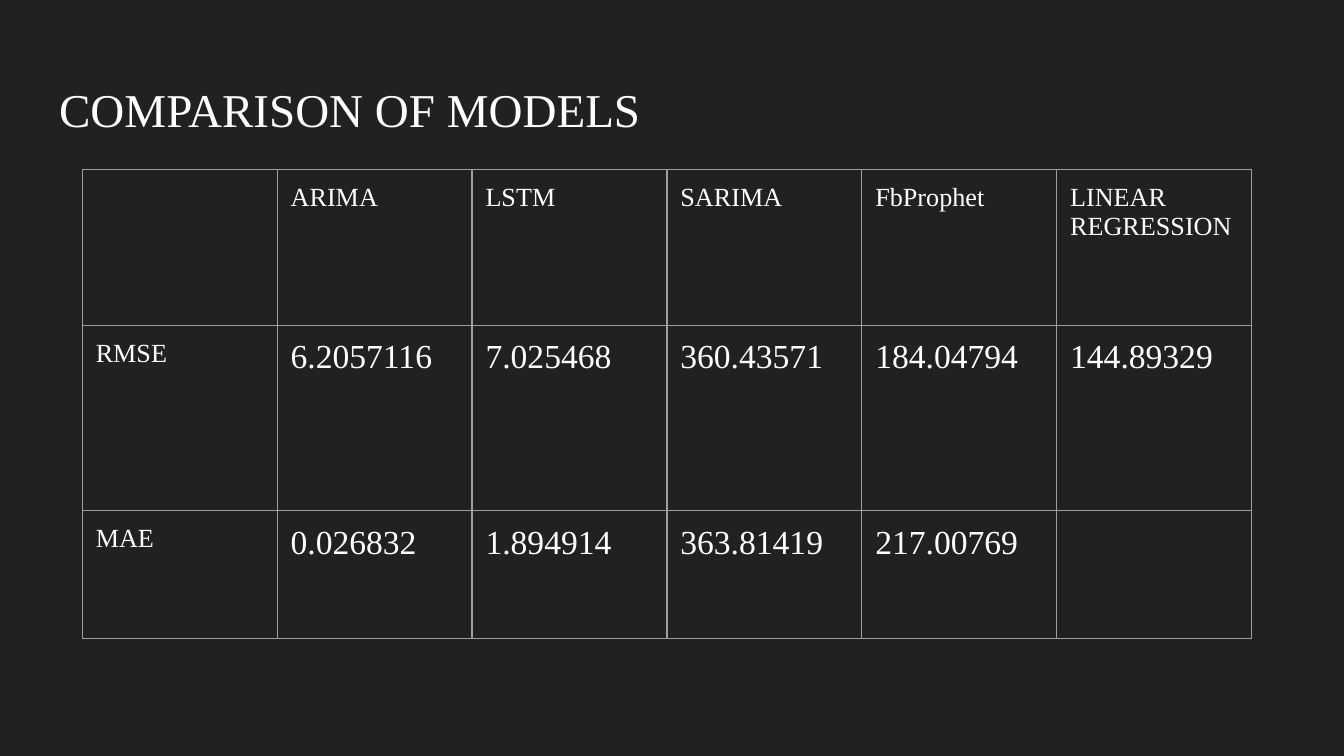
from lxml.etree import SubElement
from pptx import Presentation
from pptx.dml.color import RGBColor
from pptx.enum.text import MSO_ANCHOR, PP_ALIGN
from pptx.oxml.ns import qn
from pptx.util import Pt

COLORS = {"background": "212121", "text": "FFFFFF", "border": "9E9E9E"}
INSET = 7.2

RESULTS = [
    ["", "ARIMA", "LSTM", "SARIMA", "FbProphet", "LINEAR REGRESSION"],
    ["RMSE", "6.2057116", "7.025468", "360.43571", "184.04794", "144.89329"],
    ["MAE", "0.026832", "1.894914", "363.81419", "217.00769", ""],
]
COLUMN_WIDTH = 104.4
ROW_HEIGHTS = [83.5, 99.3, 68.4]


class SlideBuilder:
    font_name = "Times New Roman"
    label_size = 14
    value_size = 18

    def __init__(self, presentation):
        self.slide = presentation.slides.add_slide(presentation.slide_layouts[5])
        fill = self.slide.background.fill
        fill.solid()
        fill.fore_color.rgb = RGBColor.from_string(COLORS["background"])

    def format_text(self, text_frame, size):
        for paragraph in text_frame.paragraphs:
            paragraph.alignment = PP_ALIGN.LEFT
            for run in paragraph.runs:
                run.font.name = self.font_name
                run.font.size = Pt(size)
                run.font.color.rgb = RGBColor.from_string(COLORS["text"])

    def set_margins(self, holder):
        holder.margin_left = holder.margin_right = Pt(INSET)
        holder.margin_top = holder.margin_bottom = Pt(INSET)

    def title(self, text, left, top, width, height, size):
        heading = self.slide.shapes.title
        heading.left, heading.top = Pt(left), Pt(top)
        heading.width, heading.height = Pt(width), Pt(height)
        frame = heading.text_frame
        frame.text = text
        frame.word_wrap = True
        frame.vertical_anchor = MSO_ANCHOR.MIDDLE
        self.set_margins(frame)
        self.format_text(frame, size)

    def cell_borders(self, cell, width=0.75):
        properties = cell._tc.get_or_add_tcPr()
        for position, side in enumerate(("lnL", "lnR", "lnT", "lnB")):
            line = SubElement(properties, qn(f"a:{side}"), w=str(Pt(width)))
            fill = SubElement(line, qn("a:solidFill"))
            SubElement(fill, qn("a:srgbClr"), val=COLORS["border"])
            # Borders come before the cell fill
            properties.insert(position, line)

    def table(self, rows, left, top, column_width, row_heights):
        column_count = len(rows[0])
        table = self.slide.shapes.add_table(
            len(rows), column_count, Pt(left), Pt(top),
            Pt(column_width * column_count), Pt(sum(row_heights)),
        ).table
        table.first_row = table.horz_banding = False
        for column in table.columns:
            column.width = Pt(column_width)
        for row, height in zip(table.rows, row_heights):
            row.height = Pt(height)

        for row_index, values in enumerate(rows):
            for column_index, value in enumerate(values):
                cell = table.cell(row_index, column_index)
                cell.text_frame.text = value
                cell.vertical_anchor = MSO_ANCHOR.TOP
                self.set_margins(cell)
                cell.fill.background()
                self.cell_borders(cell)
                is_label = row_index == 0 or column_index == 0
                size = self.label_size if is_label else self.value_size
                self.format_text(cell.text_frame, size)


def main():
    presentation = Presentation()
    presentation.slide_width, presentation.slide_height = Pt(720), Pt(405)
    builder = SlideBuilder(presentation)

    # Heading
    builder.title("COMPARISON OF MODELS", 24.5, 35.3, 671, 45.4, 25.2)

    # Error metrics for each model
    builder.table(RESULTS, 44.1, 90.8, COLUMN_WIDTH, ROW_HEIGHTS)

    presentation.save("out.pptx")


if __name__ == "__main__":
    main()
